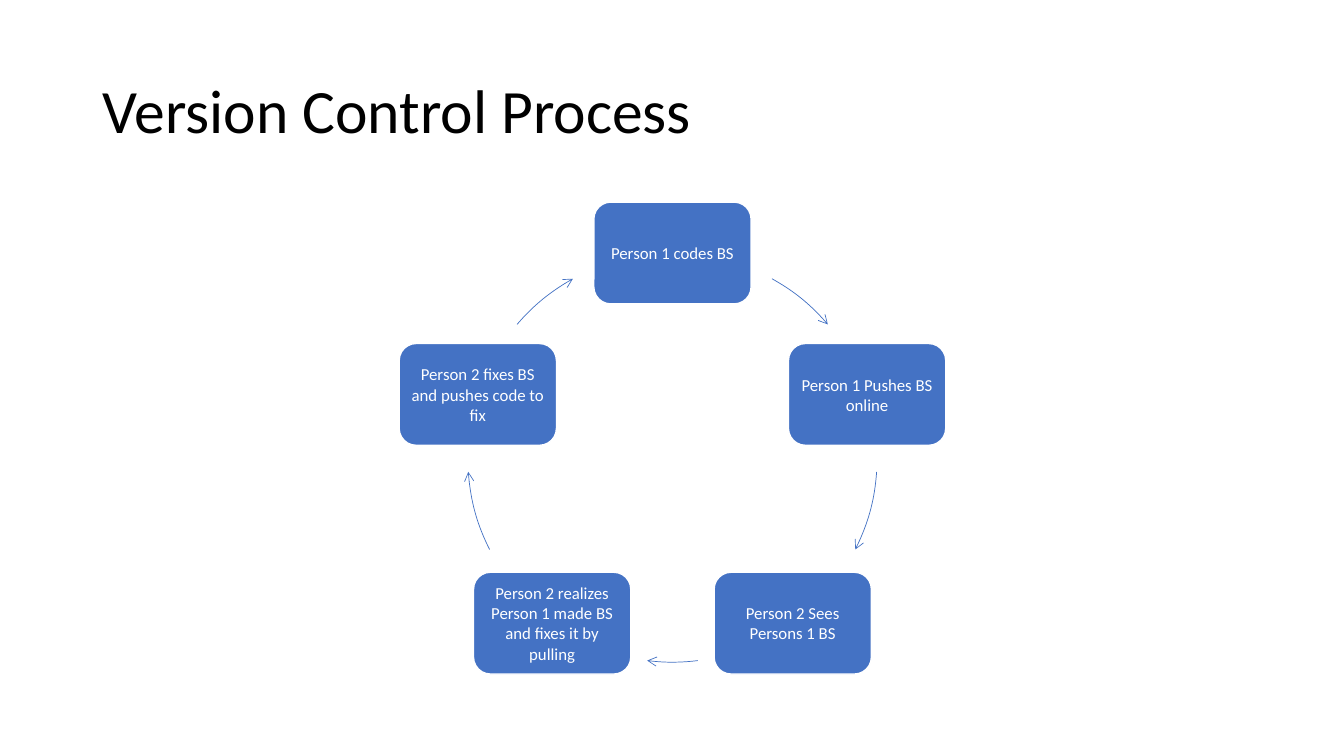
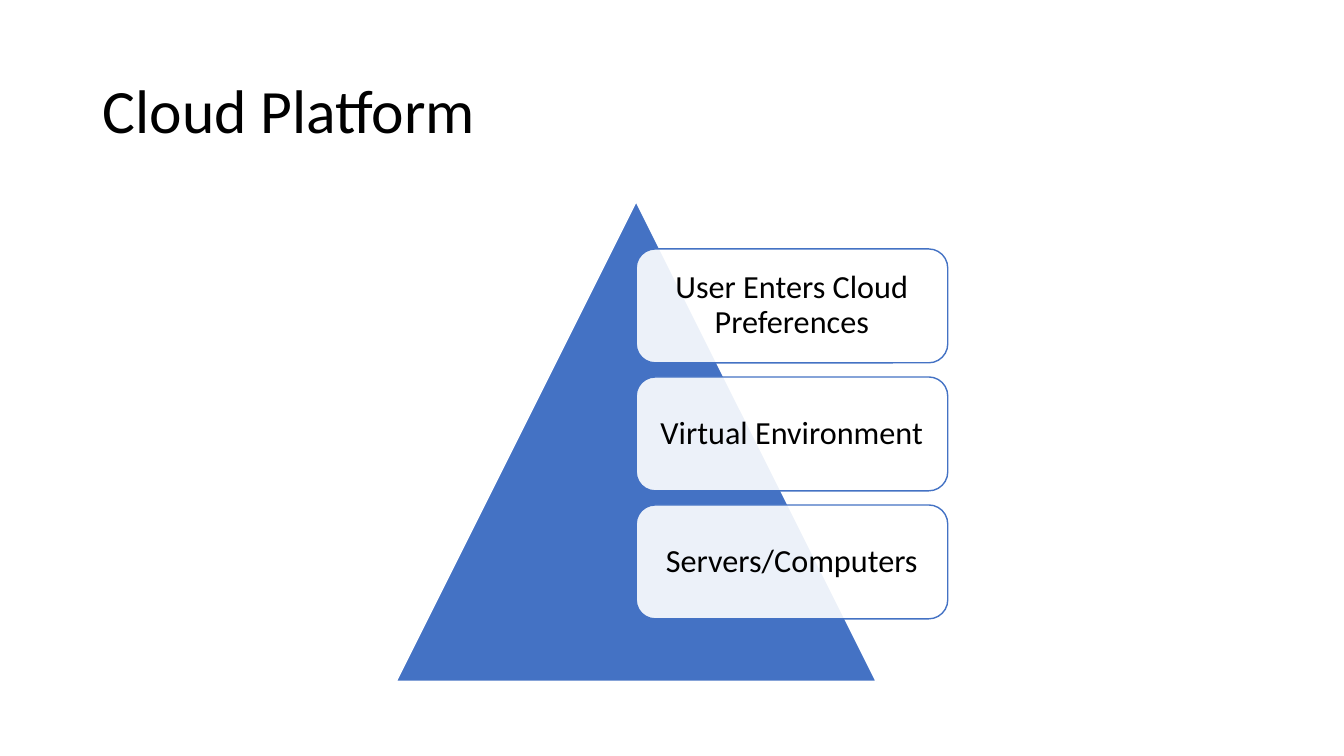
from dataclasses import dataclass
from math import cos, radians, sin

from lxml import etree
from pptx import Presentation
from pptx.dml.color import RGBColor
from pptx.enum.shapes import MSO_SHAPE
from pptx.enum.text import MSO_ANCHOR, PP_ALIGN
from pptx.oxml.ns import qn
from pptx.util import Inches, Pt

ROUNDED, TRIANGLE, ARC = (MSO_SHAPE.ROUNDED_RECTANGLE,
                          MSO_SHAPE.ISOSCELES_TRIANGLE, MSO_SHAPE.ARC)
MIDDLE = MSO_ANCHOR.MIDDLE
LEFT, CENTER = PP_ALIGN.LEFT, PP_ALIGN.CENTER


@dataclass(frozen=True)
class Theme:
    font: str = "Calibri"
    blue: RGBColor = RGBColor(0x44, 0x72, 0xC4)
    white: RGBColor = RGBColor(0xFF, 0xFF, 0xFF)
    black: RGBColor = RGBColor(0, 0, 0)
    title_size: int = 44
    step_size: int = 12
    layer_size: int = 23
    outline: float = 1
    arrow: float = 0.5


class Deck:
    def __init__(self, theme):
        self.theme = theme
        self.prs = Presentation()
        self.prs.slide_width, self.prs.slide_height = Inches(13.33), Inches(7.5)
        self.s = None

    def slide(self, title):
        self.s = self.prs.slides.add_slide(self.prs.slide_layouts[6])
        sp = self.s.shapes.add_textbox(Inches(0.92), Inches(0.4),
                                       Inches(11.5), Inches(1.45))
        self.text(sp, title, self.theme.title_size, self.theme.black,
                  LEFT, spacing=0.9)

    def text(self, sp, text, size, color, align=CENTER, inset=None, spacing=1.0):
        tf = sp.text_frame
        tf.text = text
        tf.word_wrap = True
        tf.vertical_anchor = MIDDLE
        if inset is not None:
            tf.margin_left = tf.margin_right = Inches(inset)
            tf.margin_top = tf.margin_bottom = Inches(inset)
        p = tf.paragraphs[0]
        p.alignment, p.line_spacing = align, spacing
        font = p.runs[0].font
        font.name, font.size, font.color.rgb = self.theme.font, Pt(size), color

    def shape(self, kind, x, y, w, h, fill, line, width, opacity=100):
        sp = self.s.shapes.add_shape(kind, Inches(x), Inches(y),
                                     Inches(w), Inches(h))
        sp.shadow.inherit = False
        if fill is None:
            sp.fill.background()
        else:
            sp.fill.solid()
            sp.fill.fore_color.rgb = fill
        if opacity < 100:
            color = sp.fill._xPr.find(qn("a:solidFill"))[0]
            etree.SubElement(color, qn("a:alpha"), val=str(opacity * 1000))
        sp.line.color.rgb = line
        sp.line.width = Pt(width)
        return sp

    def step(self, text, cx, cy, w, h):
        t = self.theme
        sp = self.shape(ROUNDED, cx - w / 2, cy - h / 2, w, h,
                        t.blue, t.white, t.outline)
        self.text(sp, text, t.step_size, t.white, inset=0.05)

    def arc_arrow(self, cx, cy, radius, start, end):
        t = self.theme
        sp = self.shape(ARC, cx - radius, cy - radius, 2 * radius, 2 * radius,
                        None, t.blue, t.arrow)
        # Arc angles are stored in 60000ths of a degree
        sp.adjustments[0], sp.adjustments[1] = start * 0.6, end * 0.6
        etree.SubElement(sp.line._get_or_add_ln(), qn("a:tailEnd"), type="arrow")

    def layer(self, text, x, y, w, h):
        t = self.theme
        sp = self.shape(ROUNDED, x, y, w, h, t.white, t.blue, t.outline, opacity=90)
        self.text(sp, text, t.layer_size, t.black, inset=0.1, spacing=0.9)


theme = Theme()
deck = Deck(theme)

# Version control cycle: steps clockwise from the top, arrows between them
deck.slide("Version Control Process")
CX, CY, RADIUS = 6.67, 4.54, 2.03
STEPS = ["Person 1 codes BS",
         "Person 1 Pushes BS online",
         "Person 2 Sees Persons 1 BS",
         "Person 2 realizes Person 1 made BS and fixes it by pulling",
         "Person 2 fixes BS and pushes code to fix"]
ARROWS = [(299.1, 319.4), (4, 26.7), (82.9, 97.1), (153.3, 176), (220.6, 240.9)]
for i, (step, (start, end)) in enumerate(zip(STEPS, ARROWS)):
    angle = radians(i * 360 / len(STEPS) - 90)
    deck.step(step, CX + RADIUS * cos(angle), CY + RADIUS * sin(angle), 1.56, 1.01)
    deck.arc_arrow(CX, CY, RADIUS, start, end)

# Cloud pyramid with its layers
deck.slide("Cloud Platform")
deck.shape(TRIANGLE, 3.93, 2, 4.76, 4.76, theme.blue, theme.white, theme.outline)
LAYERS = ["User Enters Cloud Preferences", "Virtual Environment", "Servers/Computers"]
for i, layer in enumerate(LAYERS):
    deck.layer(layer, 6.31, 2.47 + i * 1.27, 3.09, 1.13)

deck.prs.save("out.pptx")
